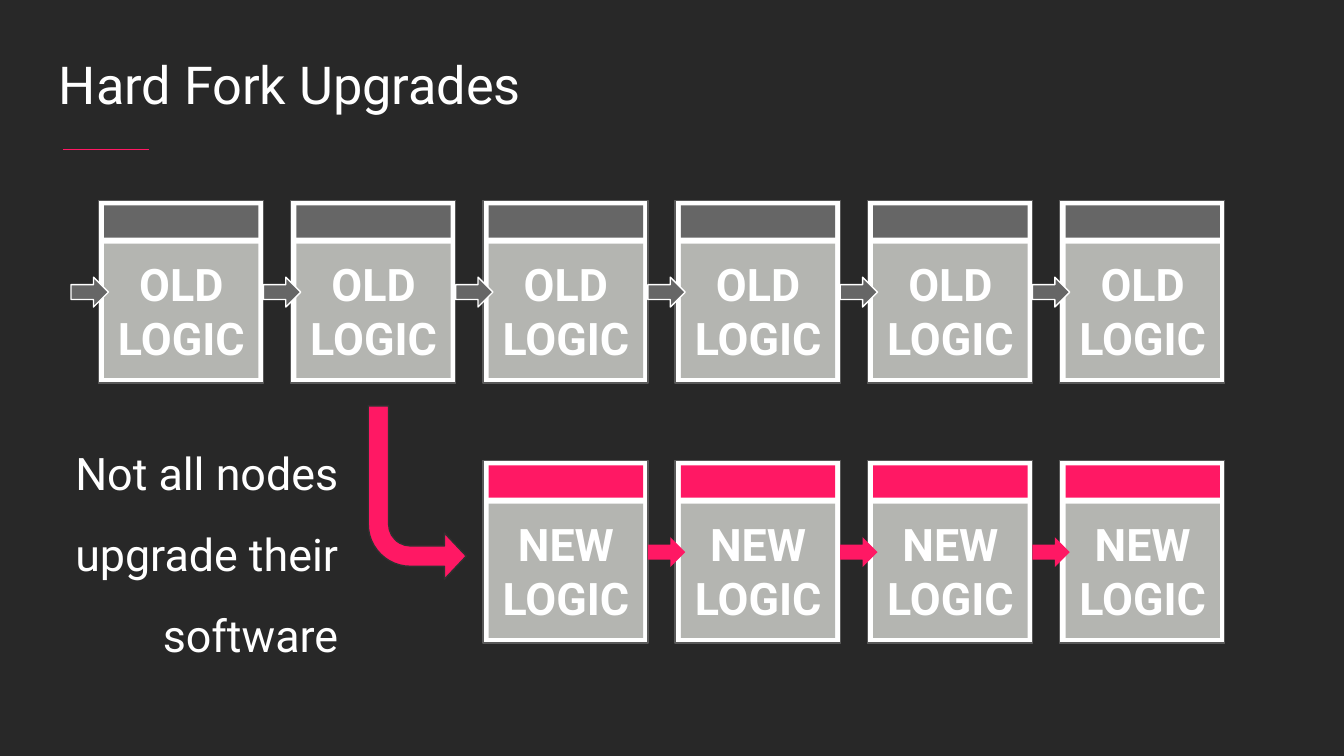
from dataclasses import dataclass

from pptx import Presentation
from pptx.dml.color import RGBColor
from pptx.enum.shapes import MSO_CONNECTOR as Connector, MSO_SHAPE as Shape
from pptx.enum.text import MSO_ANCHOR as Anchor, PP_ALIGN as Align
from pptx.oxml.ns import qn
from pptx.oxml.xmlchemy import OxmlElement
from pptx.util import Pt


@dataclass(frozen=True)
class Theme:
    font: str = "Roboto"
    background: str = "282828"
    white: str = "FFFFFF"
    pink: str = "FF1864"
    old_header: str = "666666"
    block_body: str = "B4B5B1"
    block_edge: str = "595959"
    fork_edge: str = "303030"
    title_size: float = 28
    text_size: float = 24
    line_width: float = 0.75


@dataclass(frozen=True)
class Box:
    left: float
    top: float
    width: float
    height: float

    def inner(self, left, top, width, height):
        return Box(self.left + left, self.top + top, width, height)

    def lengths(self):
        return Pt(self.left), Pt(self.top), Pt(self.width), Pt(self.height)


THEME = Theme()
BLOCK_PITCH = 103


def color(value):
    return RGBColor.from_string(value)


def write(frame, text, size, align, anchor=Anchor.TOP, bold=False):
    frame.word_wrap = True
    frame.vertical_anchor = anchor
    frame.margin_left = frame.margin_right = Pt(7.2)
    frame.margin_top = frame.margin_bottom = Pt(7.2)
    frame.text = text
    para = frame.paragraphs[0]
    para.alignment = align
    font = para.runs[0].font
    font.name = THEME.font
    font.size = Pt(size)
    font.bold = bold
    font.color.rgb = color(THEME.white)
    return para


def add_filled(shapes, kind, box, fill, edge=None):
    shape = shapes.add_shape(kind, *box.lengths())
    shape.shadow.inherit = False
    shape.fill.solid()
    shape.fill.fore_color.rgb = color(fill)
    if edge:
        shape.line.color.rgb = color(edge)
        shape.line.width = Pt(THEME.line_width)
    else:
        shape.line.fill.background()
    return shape


def add_title(page, box, text):
    title = page.shapes.add_textbox(*box.lengths())
    write(title.text_frame, text, THEME.title_size, Align.LEFT)
    rule_left, rule_top = Pt(box.left + 9.3), Pt(box.top + 59)
    rule = page.shapes.add_connector(
        Connector.STRAIGHT, rule_left, rule_top, rule_left + Pt(46), rule_top
    )
    rule.line.color.rgb = color(THEME.pink)
    rule.line.width = Pt(THEME.line_width)
    rule._element.spPr.append(OxmlElement("a:effectLst"))


def add_block(page, box, text, accent, arrow_edge=None, has_arrow=True):
    shapes = page.shapes.add_group_shape().shapes
    add_filled(shapes, Shape.RECTANGLE, box, THEME.white, THEME.block_edge)
    add_filled(shapes, Shape.RECTANGLE, box.inner(3.1, 2.6, 82.7, 17.3), accent)
    body = add_filled(
        shapes, Shape.RECTANGLE, box.inner(3.1, 23, 82.7, 72), THEME.block_body
    )
    write(body.text_frame, text, THEME.text_size, Align.CENTER, Anchor.MIDDLE, True)
    if has_arrow:
        arrow_box = box.inner(-14.6, 41, 20, 16)
        add_filled(shapes, Shape.RIGHT_ARROW, arrow_box, accent, arrow_edge)


def add_chain(page, first, count, text, accent, arrow_edge=None, leading_arrow=True):
    for index in range(count):
        box = first.inner(index * BLOCK_PITCH, 0, first.width, first.height)
        add_block(page, box, text, accent, arrow_edge, leading_arrow or index > 0)


def add_fork(page, box):
    fork = add_filled(
        page.shapes, Shape.BENT_ARROW, box, THEME.pink, THEME.fork_edge
    )
    for index, value in enumerate((0.208, 0.236, 0.222, 0.431)):
        fork.adjustments[index] = value
    fork.rotation = 180
    fork._element.spPr.find(qn("a:xfrm")).set("flipH", "1")


def add_note(page, box, text):
    note = page.shapes.add_textbox(*box.lengths())
    para = write(note.text_frame, text, THEME.text_size, Align.RIGHT)
    para.line_spacing = 1.5
    para.space_after = Pt(16)


def add_hard_fork_page(deck, box):
    page = deck.slides.add_slide(deck.slide_layouts[6])
    page.background.fill.solid()
    page.background.fill.fore_color.rgb = color(THEME.background)
    add_title(page, box.inner(24.5, 21, 671, 45.4), "Hard Fork Upgrades")
    old_block = box.inner(52.7, 107.5, 88.5, 97.8)
    new_block = old_block.inner(2 * BLOCK_PITCH, 139.3, 88.5, 97.8)
    add_chain(page, old_block, 6, "OLD LOGIC", THEME.old_header, THEME.white)
    add_chain(page, new_block, 4, "NEW LOGIC", THEME.pink, leading_arrow=False)
    add_fork(page, box.inner(197.3, 217.4, 52.5, 92.9))
    note_box = box.inner(21.3, 217.4, 167, 106)
    add_note(page, note_box, "Not all nodes upgrade their software")


def main():
    deck = Presentation()
    deck.slide_width, deck.slide_height = Pt(720), Pt(405)
    add_hard_fork_page(deck, Box(0, 0, 720, 405))
    deck.save("out.pptx")


if __name__ == "__main__":
    main()
